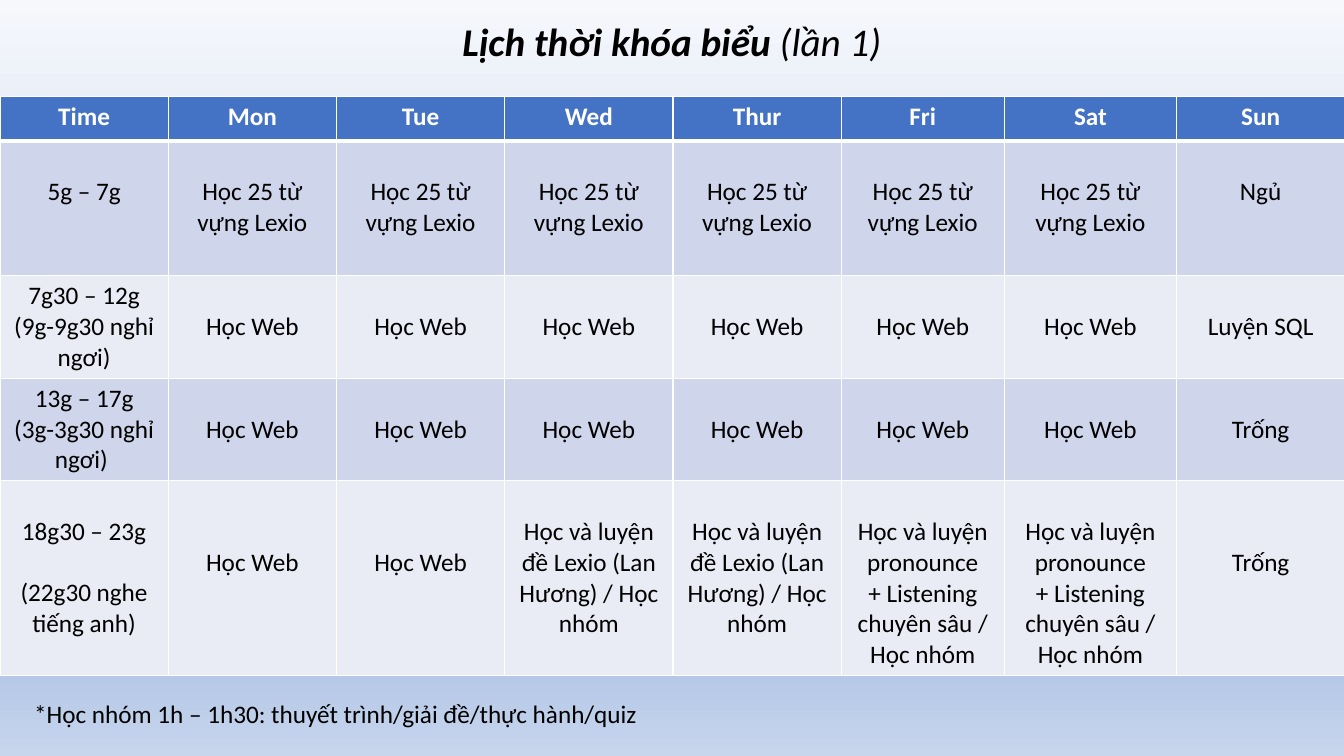
"""Build a weekly study timetable slide."""
import pptx
import pptx.dml.color
import pptx.enum.text
import pptx.oxml.ns
import pptx.util
from dataclasses import dataclass
from lxml import etree


@dataclass(frozen=True)
class Theme:
    font: str = "Calibri"
    large: int = 28
    base: int = 18
    black: str = "000000"
    white: str = "FFFFFF"
    head: str = "4472C4"
    bands: tuple = ("CFD5EA", "E9EBF5")
    sky: tuple = ((0, "F6F8FC"), (74, "ABC0E4"), (83, "ABC0E4"), (100, "C7D5ED"))


theme = Theme()
Cm = pptx.util.Cm
Pt = pptx.util.Pt
RGB = pptx.dml.color.RGBColor.from_string
qn = pptx.oxml.ns.qn
center = pptx.enum.text.PP_ALIGN.CENTER


def write(para, text, size=theme.base, color=theme.black, bold=False, slant=False):
    run = para.add_run()
    run.text = text
    font = run.font
    font.name, font.size = theme.font, Pt(size)
    font.bold, font.italic = bold, slant
    font.color.rgb = RGB(color)


def edge(cell, side, width):
    line = etree.SubElement(cell._tc.get_or_add_tcPr(), qn(f"a:ln{side}"), w=str(Pt(width)))
    fill = etree.SubElement(line, qn("a:solidFill"))
    etree.SubElement(fill, qn("a:srgbClr"), val=theme.white)


deck = pptx.Presentation()
deck.slide_width, deck.slide_height = Cm(33.87), Cm(19.05)
slide = deck.slides.add_slide(deck.slide_layouts[5])

sky = slide.background.fill
sky.gradient()
sky.gradient_angle = 270
stops = slide.element.find(".//" + qn("a:gsLst"))
for stop in list(stops):
    stops.remove(stop)
for place, color in theme.sky:
    stop = etree.SubElement(stops, qn("a:gs"), pos=str(place * 1000))
    etree.SubElement(stop, qn("a:srgbClr"), val=color)

title = slide.shapes.title
title.left, title.top, title.width, title.height = Cm(9.83), Cm(0.3), Cm(14.2), Cm(1.45)
para = title.text_frame.paragraphs[0]
para.alignment = center
write(para, "Lịch thời khóa biểu ", theme.large, bold=True, slant=True)
write(para, "(lần 1)", theme.large, slant=True)

days = ["Time", "Mon", "Tue", "Wed", "Thur", "Fri", "Sat", "Sun"]
words = "Học 25 từ vựng Lexio"
cloud = "Học Web"
drill = "Học và luyện đề Lexio (Lan Hương) / Học nhóm"
speak = "Học và luyện pronounce\n+ Listening chuyên sâu / Học nhóm"
rows = [
    days,
    ["5g – 7g"] + [words] * 6 + ["Ngủ"],
    ["7g30 – 12g\n(9g-9g30 nghỉ ngơi)"] + [cloud] * 6 + ["Luyện SQL"],
    ["13g – 17g\n(3g-3g30 nghỉ ngơi) "] + [cloud] * 6 + ["Trống"],
    ["18g30 – 23g\n(22g30 nghe tiếng anh)"] + [cloud] * 2 + [drill] * 2 + [speak] * 2 + ["Trống"],
]
widths = [4.24] * 5 + [4.11, 4.34, 4.24]
heights = [1.13, 3.39, 2.58, 2.58, 4.9]
drops = [[0] * 8, [1] * 8, [0] + [1] * 7, [0] + [1] * 7, [1, 2, 2, 1, 1, 1, 1, 2]]
pad, step = 0.13, 0.77

frame = slide.shapes.add_table(len(rows), len(days), 0, Cm(2.43), Cm(sum(widths)), Cm(sum(heights)))
table = frame.table
for column, width in zip(table.columns, widths):
    column.width = Cm(width)
for r, texts in enumerate(rows):
    table.rows[r].height = Cm(heights[r])
    for c, text in enumerate(texts):
        cell = table.cell(r, c)
        for side, width in zip("LRTB", (1, 1, 3 if r == 1 else 1, 3 if r == 0 else 1)):
            edge(cell, side, width)
        cell.fill.solid()
        cell.fill.fore_color.rgb = RGB(theme.bands[(r - 1) % 2] if r else theme.head)
        cell.margin_top = Cm(pad + step * drops[r][c])
        for n, part in enumerate(text.split("\n")):
            para = cell.text_frame.add_paragraph() if n else cell.text_frame.paragraphs[0]
            para.alignment = center
            if n and r == 4 and c == 0:
                para.space_before = Cm(step)
            write(para, part, color=theme.black if r else theme.white, bold=r == 0)

note = slide.shapes.add_textbox(Cm(0.61), Cm(17.48), Cm(16.15), Cm(1.02))
note.text_frame.word_wrap = True
write(note.text_frame.paragraphs[0], "*Học nhóm 1h – 1h30: thuyết trình/giải đề/thực hành/quiz")

deck.save("out.pptx")
